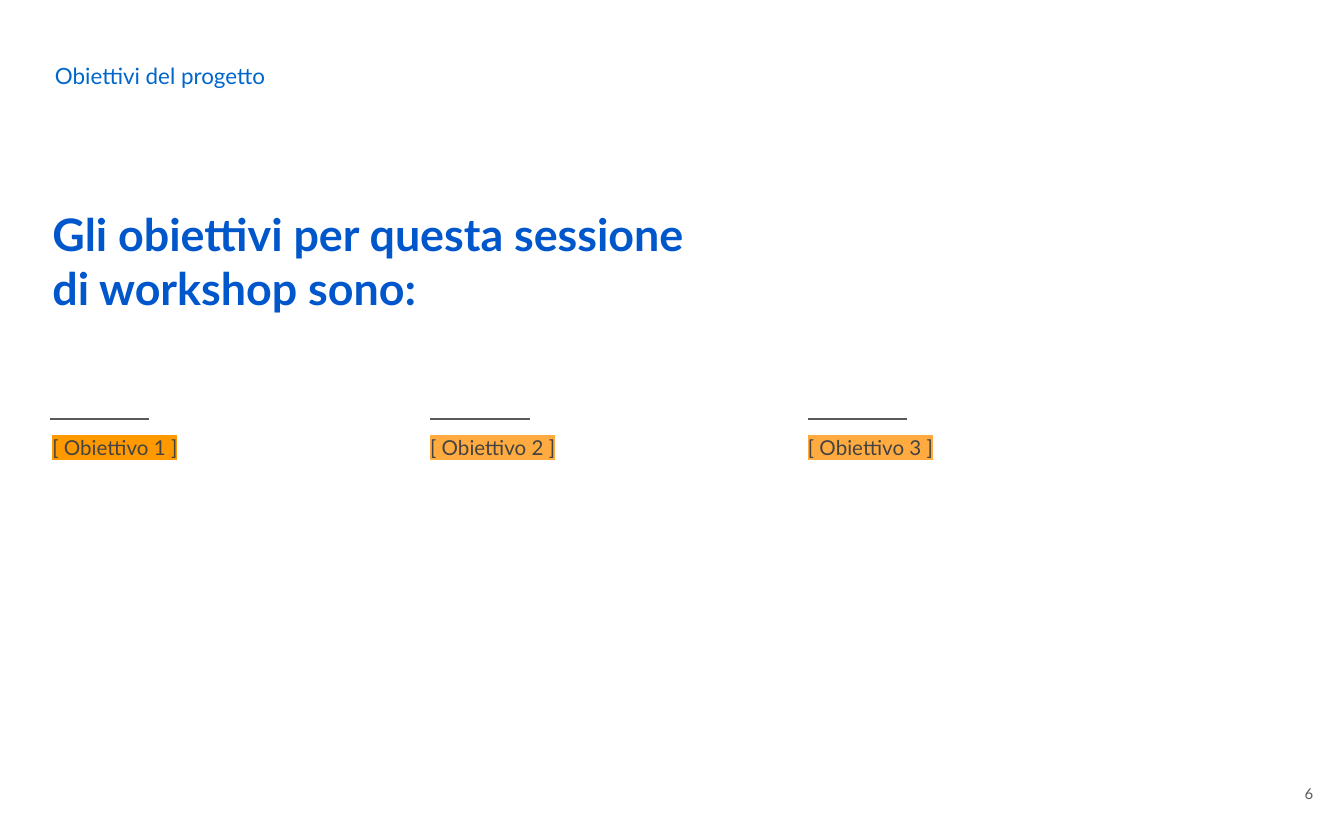
from dataclasses import dataclass
from pptx import Presentation
from pptx.dml.color import RGBColor
from pptx.enum.shapes import MSO_CONNECTOR
from pptx.enum.text import MSO_ANCHOR, MSO_AUTO_SIZE, PP_ALIGN
from pptx.oxml.ns import qn
from pptx.util import Cm, Pt
from lxml.etree import SubElement


@dataclass(frozen=True)
class Theme:
    font: str = "Lato"
    heading: str = "0056CB"
    section: str = "0066CC"
    body: str = "434343"
    muted: str = "595959"
    strong_mark: str = "FF9900"
    soft_mark: str = "FFAB40"
    heading_size: float = 24
    section_size: float = 12
    body_size: float = 11
    number_size: float = 8
    rule_width: float = 0.75
    inset: float = 0.25


class Deck:
    def __init__(self, theme, width, height):
        self.theme = theme
        self.prs = Presentation()
        self.prs.slide_width, self.prs.slide_height = Cm(width), Cm(height)
        self.s = self.prs.slides.add_slide(self.prs.slide_layouts[5])

    def fill_text(self, sp, text, size, color, bold=False, align=PP_ALIGN.LEFT,
                  anchor=MSO_ANCHOR.TOP, spacing=1.0, mark=None):
        tf = sp.text_frame
        tf.word_wrap = True
        tf.auto_size = MSO_AUTO_SIZE.NONE
        tf.vertical_anchor = anchor
        tf.margin_left = tf.margin_right = Cm(self.theme.inset)
        tf.margin_top = tf.margin_bottom = Cm(self.theme.inset)
        p = tf.paragraphs[0]
        p.alignment = align
        p.line_spacing = spacing
        r = p.add_run()
        r.text = text
        r.font.size = Pt(size)
        r.font.bold = bold
        r.font.color.rgb = RGBColor.from_string(color)
        if mark:
            highlight = SubElement(r._r.get_or_add_rPr(), qn("a:highlight"))
            SubElement(highlight, qn("a:srgbClr"), val=mark)
        r.font.name = self.theme.font

    def title(self, x, y, w, h, text, **style):
        sp = self.s.shapes.title
        sp.left, sp.top, sp.width, sp.height = Cm(x), Cm(y), Cm(w), Cm(h)
        self.fill_text(sp, text, **style)

    def text(self, x, y, w, h, text, **style):
        sp = self.s.shapes.add_textbox(Cm(x), Cm(y), Cm(w), Cm(h))
        self.fill_text(sp, text, **style)

    def rule(self, x, y, length):
        line = self.s.shapes.add_connector(
            MSO_CONNECTOR.STRAIGHT, Cm(x), Cm(y), Cm(x + length), Cm(y))
        line.line.color.rgb = RGBColor.from_string(self.theme.muted)
        line.line.width = Pt(self.theme.rule_width)
        SubElement(line._element.spPr, qn("a:effectLst"))


def main():
    theme = Theme()
    deck = Deck(theme, 25.4, 15.88)
    deck.text(0.79, 0.99, 10.77, 0.86, "Obiettivi del progetto",
              size=theme.section_size, color=theme.section,
              anchor=MSO_ANCHOR.MIDDLE)
    deck.title(0.74, 3.66, 12.6, 2.44,
               "Gli obiettivi per questa sessione di workshop sono:",
               size=theme.heading_size, color=theme.heading, bold=True)

    columns = [
        ("[ Obiettivo 1 ]", 0.94, theme.strong_mark),
        ("[ Obiettivo 2 ]", 8.13, theme.soft_mark),
        ("[ Obiettivo 3 ]", 15.27, theme.soft_mark),
    ]
    for i, (goal, rule_x, mark) in enumerate(columns):
        deck.rule(rule_x, 7.92, 1.88)
        deck.text(0.74 + i * 7.14, 7.9, 5.9, 3.71, goal,
                  size=theme.body_size, color=theme.body,
                  spacing=1.15, mark=mark)

    deck.text(23.55, 14.4, 1.52, 1.22, "6", size=theme.number_size,
              color=theme.muted, align=PP_ALIGN.RIGHT,
              anchor=MSO_ANCHOR.MIDDLE)
    deck.prs.save("out.pptx")


if __name__ == "__main__":
    main()
